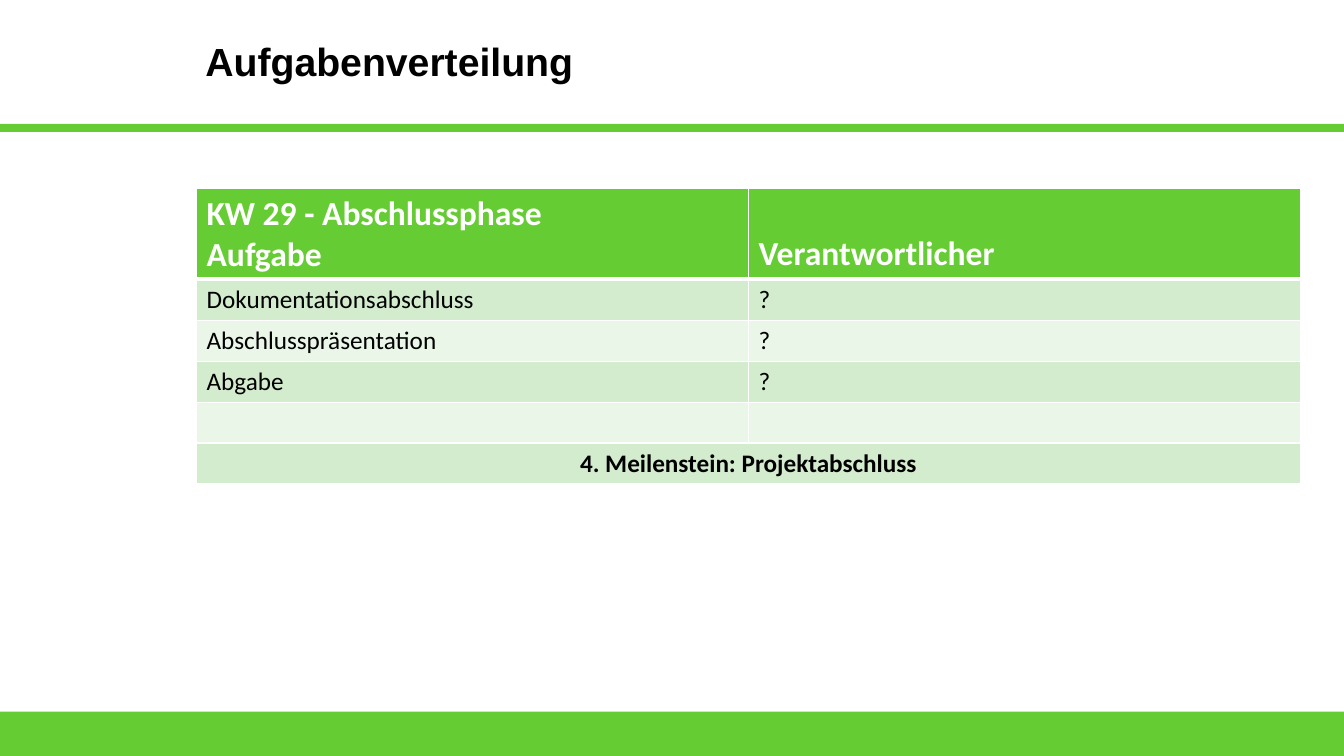
from dataclasses import dataclass

from lxml import etree
from pptx import Presentation
from pptx.dml.color import RGBColor
from pptx.enum.shapes import MSO_SHAPE
from pptx.enum.text import MSO_ANCHOR, PP_ALIGN
from pptx.oxml.ns import qn
from pptx.util import Inches, Pt

RECTANGLE = MSO_SHAPE.RECTANGLE
TOP, MIDDLE, BOTTOM = MSO_ANCHOR.TOP, MSO_ANCHOR.MIDDLE, MSO_ANCHOR.BOTTOM
LEFT, CENTER = PP_ALIGN.LEFT, PP_ALIGN.CENTER
GRID_COLUMNS, GRID_ROWS = 160, 90


@dataclass(frozen=True)
class Theme:
    green: str = "66CC33"
    bands: tuple = ("D3ECCE", "EAF6E8")
    white: str = "FFFFFF"
    black: str = "000000"
    title_font: str = "Arial"
    table_font: str = "Calibri"
    title_size: int = 28
    header_size: int = 24
    body_size: int = 18
    thin_line: int = 1
    thick_line: int = 3


class SlideBuilder:
    def __init__(self, presentation, theme):
        self.theme = theme
        self.column = presentation.slide_width / GRID_COLUMNS
        self.row = presentation.slide_height / GRID_ROWS
        self.slide = presentation.slides.add_slide(presentation.slide_layouts[6])

    def place(self, left, top, width, height):
        return (round(left * self.column), round(top * self.row),
                round(width * self.column), round(height * self.row))

    def set_text(self, frame, lines, color, align=LEFT, **font_format):
        frame.text = "\n".join(lines)
        for paragraph in frame.paragraphs:
            paragraph.alignment = align
            # An empty cell keeps its type size through the paragraph
            fonts = [run.font for run in paragraph.runs] or [paragraph.font]
            for font in fonts:
                font.color.rgb = RGBColor.from_string(color)
                for name, value in font_format.items():
                    setattr(font, name, value)

    def bar(self, top, height):
        bar = self.slide.shapes.add_shape(
            RECTANGLE, *self.place(0, top, GRID_COLUMNS, height))
        bar.shadow.inherit = False
        bar.fill.solid()
        bar.fill.fore_color.rgb = RGBColor.from_string(self.theme.green)
        bar.line.fill.background()

    def title(self, text, *area):
        frame = self.slide.shapes.add_textbox(*self.place(*area)).text_frame
        frame.word_wrap = True
        frame.vertical_anchor = MIDDLE
        self.set_text(frame, [text], self.theme.black, bold=True,
                      name=self.theme.title_font, size=Pt(self.theme.title_size))

    def borders(self, cell, bottom_width):
        thin = self.theme.thin_line
        widths = {"a:lnL": thin, "a:lnR": thin, "a:lnT": thin, "a:lnB": bottom_width}
        properties = cell._tc.get_or_add_tcPr()
        for position, (side, width) in enumerate(widths.items()):
            line = etree.Element(qn(side), w=str(Pt(width)))
            fill = etree.SubElement(line, qn("a:solidFill"))
            etree.SubElement(fill, qn("a:srgbClr"), val=self.theme.white)
            properties.insert(position, line)

    def cell(self, cell, lines, fill, color, anchor=TOP, align=LEFT,
             bottom_width=None, **font_format):
        cell.fill.solid()
        cell.fill.fore_color.rgb = RGBColor.from_string(fill)
        cell.vertical_anchor = anchor
        self.set_text(cell.text_frame, lines, color, align,
                      name=self.theme.table_font, **font_format)
        self.borders(cell, bottom_width or self.theme.thin_line)

    def task_table(self, header, tasks, milestone, left, top, width,
                   header_height, row_height):
        theme = self.theme
        body = [*tasks, (milestone, "")]
        height = header_height + row_height * len(body)
        table = self.slide.shapes.add_table(
            len(body) + 1, len(header), *self.place(left, top, width, height)).table
        table.rows[0].height = round(header_height * self.row)

        # Header
        for column, lines in enumerate(header):
            self.cell(table.cell(0, column), lines, theme.green, theme.white,
                      anchor=BOTTOM, bottom_width=theme.thick_line,
                      bold=True, size=Pt(theme.header_size))

        # Banded rows, closed by the milestone across the full width
        for number, texts in enumerate(body, start=1):
            is_milestone = number == len(body)
            table.rows[number].height = round(row_height * self.row)
            for column, text in enumerate(texts):
                self.cell(table.cell(number, column), [text],
                          theme.bands[(number - 1) % 2], theme.black,
                          align=CENTER if is_milestone else LEFT,
                          bold=is_milestone, size=Pt(theme.body_size))
        table.cell(len(body), 0).merge(table.cell(len(body), len(header) - 1))


def main():
    presentation = Presentation()
    presentation.slide_width, presentation.slide_height = Inches(13.33), Inches(7.5)
    builder = SlideBuilder(presentation, Theme())

    # Footer and title bars
    for top, height in ((84.72, 5.28), (14.76, 0.96)):
        builder.bar(top, height)

    builder.title("Aufgabenverteilung", 23.28, -0.24, 136.72, 15)

    # Tasks of the final phase
    builder.task_table(
        header=[["KW 29 - Abschlussphase", "Aufgabe"], ["Verantwortlicher"]],
        tasks=[("Dokumentationsabschluss", "?"), ("Abschlusspräsentation", "?"),
               ("Abgabe", "?"), ("", "")],
        milestone="4. Meilenstein: Projektabschluss",
        left=23.4, top=22.44, width=131.4, header_height=10.8, row_height=4.88)

    presentation.save("out.pptx")


if __name__ == "__main__":
    main()
